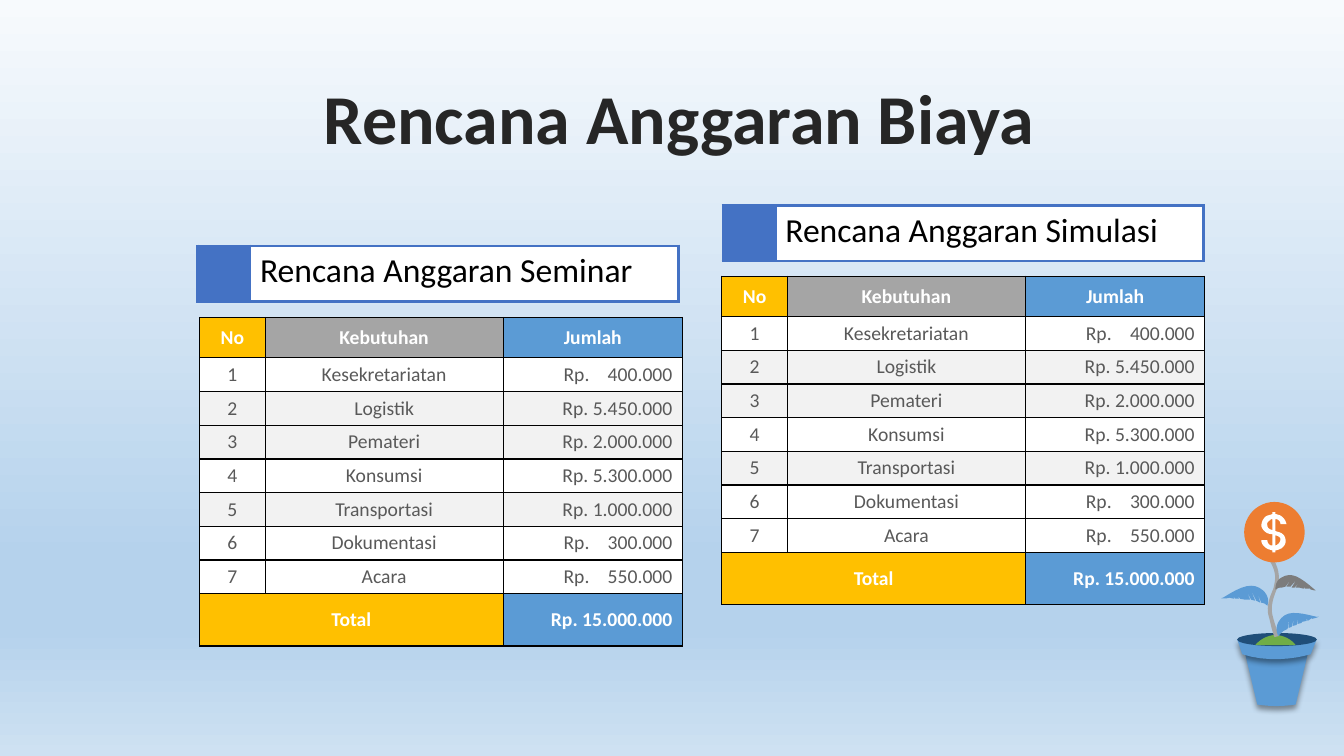
from lxml.etree import SubElement
from pptx import Presentation
from pptx.dml.color import RGBColor
from pptx.enum.shapes import MSO_SHAPE
from pptx.enum.text import MSO_ANCHOR, PP_ALIGN
from pptx.oxml.ns import qn
from pptx.util import Inches, Pt

FONT = "Calibri"
WHITE = RGBColor(0xFF, 0xFF, 0xFF)
BLACK = RGBColor(0, 0, 0)
PALE = RGBColor(0xF2, 0xF2, 0xF2)
INK = RGBColor(0x26, 0x26, 0x26)
GRAY = RGBColor(0x59, 0x59, 0x59)
GOLD = RGBColor(0xFF, 0xC0, 0x00)
SILVER = RGBColor(0xA5, 0xA5, 0xA5)
SKY = RGBColor(0x5B, 0x9B, 0xD5)
ROYAL = RGBColor(0x44, 0x72, 0xC4)
NAVY = RGBColor(0x1F, 0x4E, 0x79)
GREEN = RGBColor(0x70, 0xAD, 0x47)
SMOKE = RGBColor(0x7C, 0x7C, 0x7C)
ORANGE = RGBColor(0xED, 0x7D, 0x31)
HAZE = [(0, RGBColor(0xF7, 0xFA, 0xFD)), (74, RGBColor(0xB5, 0xD2, 0xEC)),
        (83, RGBColor(0xB5, 0xD2, 0xEC)), (100, RGBColor(0xCE, 0xE1, 0xF2))]

COSTS = [("Kesekretariatan", "400.000"), ("Logistik", "5.450.000"),
         ("Pemateri", "2.000.000"), ("Konsumsi", "5.300.000"),
         ("Transportasi", "1.000.000"), ("Dokumentasi", "300.000"),
         ("Acara", "550.000")]
SHADED = (2, 3, 5)
COLS = (6.5, 23.6, 17.8)
HEAD, FOOT, TALL = 4, 5.2, 32.6
ROWS = [HEAD] + [(TALL - HEAD - FOOT) / len(COSTS)] * len(COSTS) + [FOOT]
INDENT, STOP = 6, 10.8

PLANT = (120, 50)
POT = "M 97 149 L 85 199 C 72 201 60 201 47 199 L 35 149"
RIM = "M 106 134 L 100 149 C 83 154 56 157 32 149 L 27 134"
SOIL = "M 45 140 C 50 134 58 130 65 130 C 72 130 81 134 85 140"
STEM = ("M 59 56 C 68 70 64 78 63 84 C 59 93 56 102 58 110 C 60 117 61 124 64 132 "
        "L 69 131 C 66 124 64 118 62 110 C 60 102 63 92 67 83 C 69 77 70 66 63 55")
LEAVES = [
    ("M 104 85 C 108 87 99 85 99 84 L 99 83 L 98 84 L 94 84 L 95 82 L 93 84 "
     "L 89 83 L 92 80 L 89 83 L 85 83 L 89 77 L 84 83 L 81 83 L 86 75 L 80 82 "
     "L 76 82 L 82 73 L 75 82 L 71 83 L 76 75 L 71 83 C 69 83 68 83 65 85 "
     "C 65 79 67 75 71 73 C 81 67 89 72 104 85", SMOKE),
    ("M 106 112 C 112 111 102 114 101 114 L 101 112 L 100 114 L 97 116 L 96 113 "
     "L 96 116 L 91 117 L 92 113 L 91 118 L 87 119 L 88 112 L 86 120 L 82 121 "
     "L 84 111 L 81 122 L 78 123 L 79 112 L 77 124 L 73 126 L 74 116 L 73 126 "
     "C 72 127 70 128 68 131 C 65 126 66 121 68 117 C 75 105 86 107 106 112", SKY),
    ("M 13 93 C 7 94 18 94 19 93 L 18 92 L 19 93 L 24 94 L 23 91 L 25 94 "
     "L 29 94 L 27 90 L 30 94 L 35 95 L 32 88 L 35 95 L 40 95 L 36 86 L 41 95 "
     "L 45 96 L 40 84 L 46 96 L 50 98 L 47 88 L 51 98 C 53 98 55 99 57 101 "
     "C 59 95 57 90 53 86 C 43 77 32 81 13 93", SKY)]
DOLLAR = ("M 65 31 L 65 41 C 66 41 67 41 67 40 C 69 39 70 37 70 35 C 70 33 68 32 65 31 "
          "M 62 15 C 61 15 60 15 60 16 C 58 17 56 19 57 21 C 57 24 59 25 62 26 "
          "M 62 8 L 65 8 L 65 10 C 66 10 68 11 69 11 C 73 13 75 16 76 20 L 70 20 "
          "C 70 18 69 16 66 15 L 65 15 L 65 27 C 69 28 74 29 75 35 "
          "C 76 38 74 42 71 44 C 69 45 67 46 65 46 L 65 48 L 62 48 L 62 46 "
          "C 61 46 59 45 58 45 C 54 43 51 40 51 36 L 57 36 C 57 38 58 40 60 41 "
          "L 62 41 L 62 30 C 58 30 53 28 51 22 C 51 18 53 14 56 12 C 58 11 60 11 62 10")


def grid(count):
    return Inches(count / 10)


def write(para, text, size, color, bold=False, align=PP_ALIGN.LEFT):
    para.alignment = align
    run = para.add_run()
    run.text = text
    run.font.name, run.font.size, run.font.bold = FONT, Pt(size), bold
    run.font.color.rgb = color


def paint(cell, color, edge, width):
    cell.fill.solid()
    cell.fill.fore_color.rgb = color
    props = cell._tc.get_or_add_tcPr()
    for place, side in enumerate(("lnL", "lnR", "lnT", "lnB")):
        line = SubElement(props, qn("a:" + side), w=str(Pt(width)))
        fill = SubElement(line, qn("a:solidFill"))
        SubElement(fill, qn("a:srgbClr"), val=str(edge))
        props.insert(place, line)


def add_grid(slide, left, top, cols, rows):
    frame = slide.shapes.add_table(len(rows), len(cols), grid(left), grid(top),
                                   grid(sum(cols)), grid(sum(rows)))
    table = frame.table
    table.first_row = table.horz_banding = False
    for col, width in zip(table.columns, cols):
        col.width = grid(width)
    for row, height in zip(table.rows, rows):
        row.height = grid(height)
    return table


def add_label(slide, left, top, text):
    table = add_grid(slide, left, top, (5.2, 42.5), (5.5,))
    for cell, color in zip(table.iter_cells(), (ROYAL, WHITE)):
        paint(cell, color, ROYAL, 2.25)
    write(table.cell(0, 1).text_frame.paragraphs[0], text, 24, BLACK)


def add_sum(cell, cost):
    para = cell.text_frame.paragraphs[0]
    if cost.count(".") > 1:
        write(para, "Rp. " + cost, 14, GRAY, align=PP_ALIGN.RIGHT)
        return
    cell.margin_left, cell.margin_right = grid(INDENT), grid(0.5)
    tabs = SubElement(para._p.get_or_add_pPr(), qn("a:tabLst"))
    SubElement(tabs, qn("a:tab"), pos=str(grid(STOP)), algn="r")
    write(para, "Rp.\t" + cost, 14, GRAY)


def add_budget(slide, left, top):
    table = add_grid(slide, left, top, COLS, ROWS)
    last = len(ROWS) - 1
    for index in range(len(ROWS)):
        tints = [PALE if index in SHADED else WHITE] * 3
        if index == 0:
            tints = GOLD, SILVER, SKY
        elif index == last:
            tints = GOLD, GOLD, SKY
        for col, tint in enumerate(tints):
            cell = table.cell(index, col)
            cell.vertical_anchor = MSO_ANCHOR.MIDDLE
            cell.margin_top = cell.margin_bottom = grid(0.3)
            paint(cell, tint, BLACK, 1)
    table.cell(last, 0).merge(table.cell(last, 1))
    mid, right = PP_ALIGN.CENTER, PP_ALIGN.RIGHT
    bold = [(0, 0, "No", mid), (0, 1, "Kebutuhan", mid), (0, 2, "Jumlah", mid),
            (last, 0, "Total", mid), (last, 2, "Rp. 15.000.000", right)]
    for row, col, text, align in bold:
        para = table.cell(row, col).text_frame.paragraphs[0]
        write(para, text, 14, WHITE, True, align)
    for row, (need, cost) in enumerate(COSTS, 1):
        for col, text in enumerate((str(row), need)):
            write(table.cell(row, col).text_frame.paragraphs[0], text, 14, GRAY, align=mid)
        add_sum(table.cell(row, 2), cost)


def add_title(slide, text):
    box = slide.shapes.add_textbox(grid(4.1), grid(8.4), grid(126.6), grid(7.9))
    frame = box.text_frame
    frame.word_wrap = True
    frame.vertical_anchor = MSO_ANCHOR.MIDDLE
    frame.paragraphs[0].line_spacing = 0.8
    write(frame.paragraphs[0], text, 50, INK, True, PP_ALIGN.CENTER)


def trace(route):
    loops = []
    for part in route.split("M")[1:]:
        loop = []
        for step in part.replace("C", "L").split("L"):
            nums = [int(num) for num in step.split()]
            ends = list(zip(nums[::2], nums[1::2]))
            if len(ends) == 1:
                loop += ends
                continue
            knots = [loop[-1]] + ends
            for share in (n / 8 for n in range(1, 9)):
                rest = 1 - share
                parts = (rest ** 3, 3 * rest ** 2 * share, 3 * rest * share ** 2, share ** 3)
                loop.append(tuple(sum(w * k[axis] for w, k in zip(parts, knots))
                                  for axis in (0, 1)))
        loops.append([tuple(grid(base + num / 10) for base, num in zip(PLANT, point))
                      for point in loop])
    return loops


def tint(shape, color, shade=False):
    shape.fill.solid()
    shape.fill.fore_color.rgb = color
    shape.line.fill.background()
    shape.shadow.inherit = False
    if shade:
        glow = SubElement(shape._element.spPr.find(qn("a:effectLst")), qn("a:outerShdw"),
                          blurRad=str(Pt(4)), dist=str(Pt(3)), dir="5400000")
        black = SubElement(glow, qn("a:srgbClr"), val=str(BLACK))
        SubElement(black, qn("a:alpha"), val="40000")


def add_form(group, route, color, shade=False):
    loops = trace(route)
    pen = group.shapes.build_freeform(*loops[0][0], scale=1.0)
    for index, loop in enumerate(loops):
        if index:
            pen.move_to(*loop[0])
        pen.add_line_segments(loop[1:], close=True)
    tint(pen.convert_to_shape(), color, shade)


def add_disc(group, left, top, width, height, color):
    disc = group.shapes.add_shape(MSO_SHAPE.OVAL, grid(left), grid(top),
                                  grid(width), grid(height))
    tint(disc, color)


def add_plant(slide):
    group = slide.shapes.add_group_shape()
    add_form(group, POT, SKY, True)
    add_form(group, RIM, SKY, True)
    add_disc(group, 122.7, 62.8, 7.9, 1.3, NAVY)
    add_form(group, SOIL, GREEN)
    add_form(group, STEM, SILVER)
    for route, color in LEAVES:
        add_form(group, route, color)
    add_disc(group, 123.4, 49.8, 6, 6, ORANGE)
    add_form(group, DOLLAR, WHITE)


def add_haze(slide):
    fill = slide.background.fill
    fill.gradient()
    fill.gradient_angle = 270
    stops = slide.element.find(".//" + qn("a:gsLst"))
    for stop in list(stops):
        stops.remove(stop)
    for share, color in HAZE:
        stop = SubElement(stops, qn("a:gs"), pos=str(share * 1000))
        SubElement(stop, qn("a:srgbClr"), val=str(color))


def main():
    deck = Presentation()
    deck.slide_width, deck.slide_height = Inches(13.33), Inches(7.5)
    slide = deck.slides.add_slide(deck.slide_layouts[6])
    add_haze(slide)
    add_budget(slide, 19.8, 31.5)
    add_label(slide, 19.6, 24.4, "Rencana Anggaran Seminar")
    add_budget(slide, 71.6, 27.4)
    add_label(slide, 71.7, 20.4, "Rencana Anggaran Simulasi")
    add_title(slide, "Rencana Anggaran Biaya")
    add_plant(slide)
    deck.save("out.pptx")


if __name__ == "__main__":
    main()
